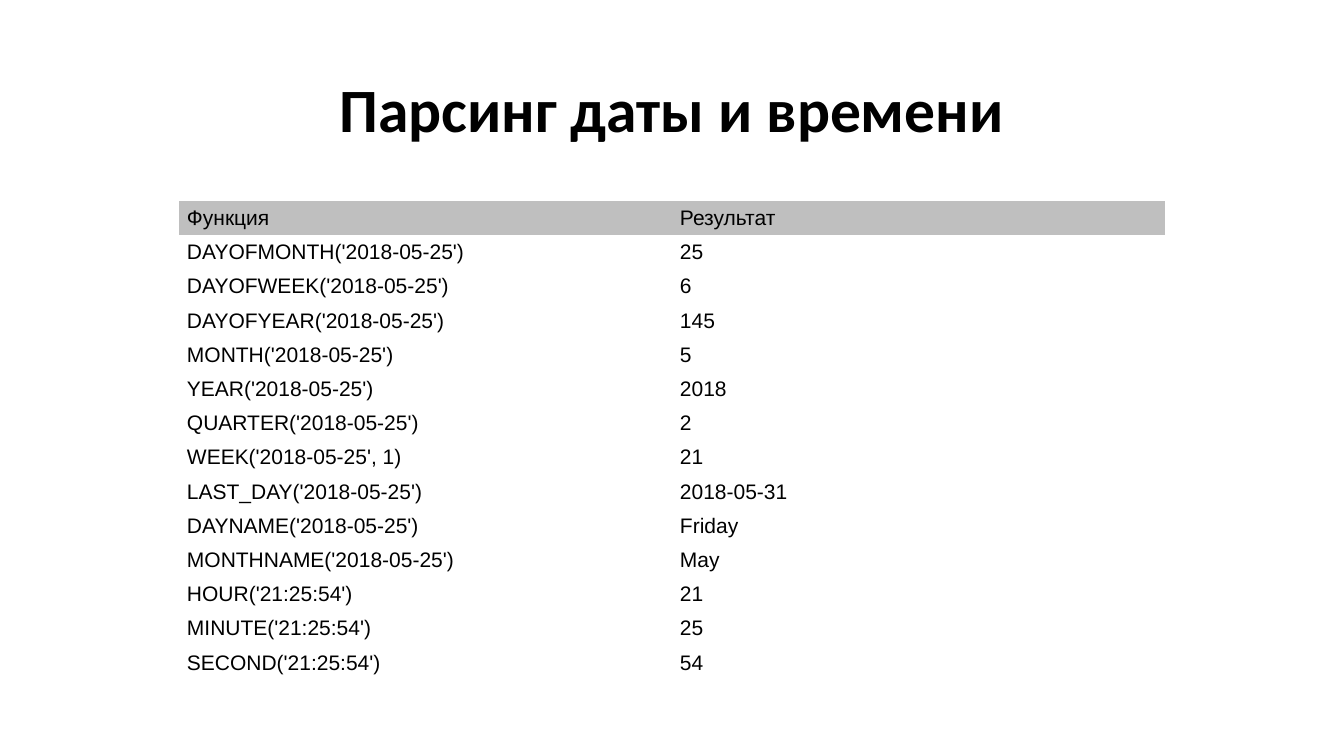
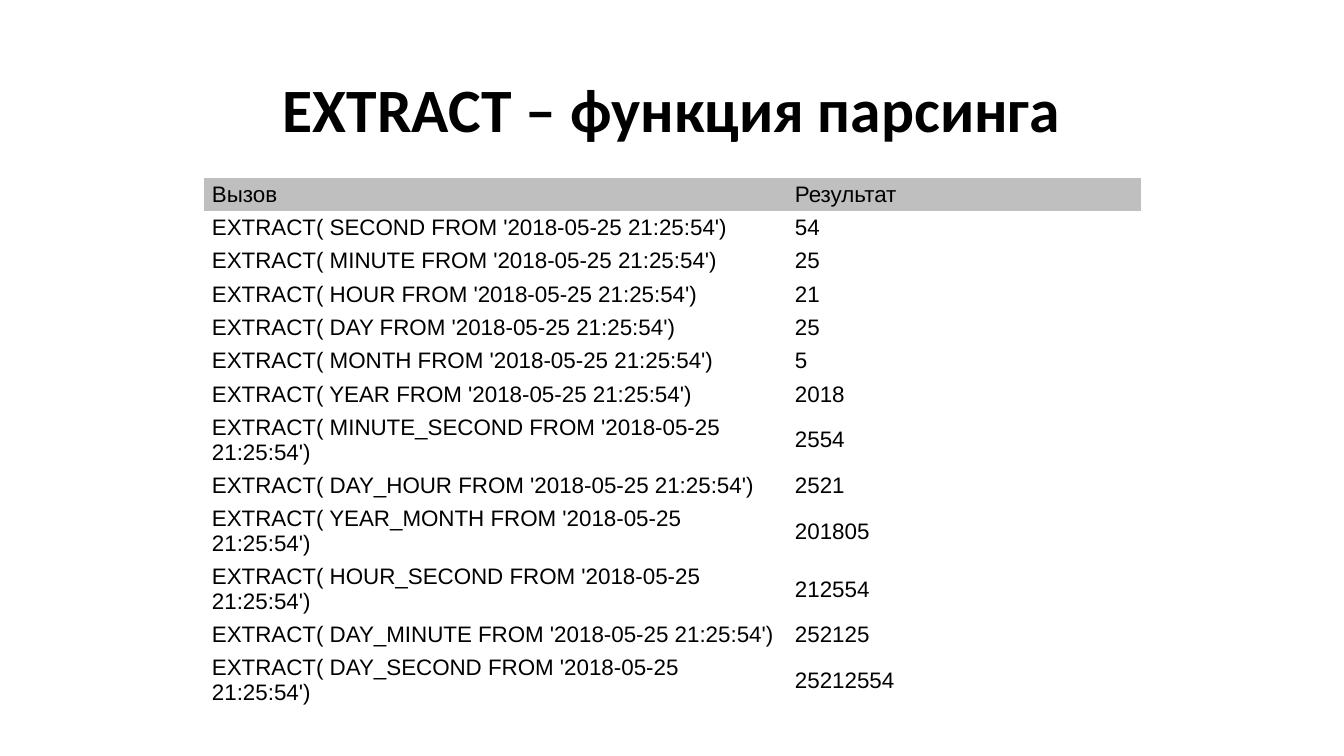
"""Build two slides that list date functions and their results."""
from dataclasses import dataclass
from typing import Any

from pptx import Presentation
from pptx.dml.color import RGBColor as RGB
from pptx.enum.text import MSO_ANCHOR as Anchor, MSO_AUTO_SIZE as Fit, PP_ALIGN as Align
from pptx.util import Emu, Pt

WIDE, HIGH = 1344, 756
SCALE = 12192000 / WIDE


@dataclass(frozen=True)
class Theme:
    """Colours, fonts and sizes that the slides share."""
    ink: RGB = RGB(0, 0, 0)
    page: RGB = RGB(255, 255, 255)
    head: RGB = RGB(0xBF, 0xBF, 0xBF)
    title_font: str = "Calibri"
    body_font: str = "Arial"
    title_size: int = 44
    small: int = 15
    large: int = 16
    no_grid: str = "{2D5ABB26-0587-4C30-8999-92F81FD0307C}"


THEME = Theme()


@dataclass(frozen=True)
class Grid:
    """A two-column table with its place, row heights and text size."""
    left: int
    top: int
    cols: tuple[int, int]
    height: int
    size: int
    rows: list[tuple[str, str]]
    tall: tuple[int, ...] = ()
    tall_px: int = 58


@dataclass(frozen=True)
class Page:
    """A slide title and the table below it."""
    title: str
    grid: Grid


def px(count: float) -> Emu:
    """Turn pixels into EMU."""
    return Emu(round(count * SCALE))


def write(frame: Any, text: str, *, size: int, font: str = THEME.body_font,
          bold: bool = False, align: Align = Align.LEFT, line: float = 1.0) -> None:
    """Put formatted text into a text frame."""
    para = frame.paragraphs[0]
    para.alignment, para.line_spacing = align, line
    run = para.add_run()
    run.text = text
    run.font.size, run.font.name, run.font.bold = Pt(size), font, bold
    run.font.color.rgb = THEME.ink


def add_title(slide: Any, text: str) -> None:
    """Place and format the title placeholder."""
    shape = slide.shapes.title
    shape.left, shape.top, shape.width, shape.height = map(px, (92, 40, 1160, 146))
    frame = shape.text_frame
    frame.word_wrap, frame.auto_size = True, Fit.NONE
    frame.vertical_anchor = Anchor.MIDDLE
    write(frame, text, size=THEME.title_size, font=THEME.title_font,
          bold=True, align=Align.CENTER, line=0.9)


def add_grid(slide: Any, grid: Grid) -> None:
    """Draw a table with a grey heading row."""
    table = slide.shapes.add_table(
        len(grid.rows), len(grid.cols), px(grid.left), px(grid.top),
        px(sum(grid.cols)), px(grid.height)).table
    table.first_row = table.horz_banding = False
    table._tbl.tblPr[0].text = THEME.no_grid
    for col, width in zip(table.columns, grid.cols):
        col.width = px(width)
    for index in grid.tall:
        table.rows[index].height = px(grid.tall_px)
    for row, texts in enumerate(grid.rows):
        for col, text in enumerate(texts):
            cell = table.cell(row, col)
            cell.margin_left = cell.margin_right = px(8)
            cell.margin_top = cell.margin_bottom = px(4)
            cell.vertical_anchor = Anchor.MIDDLE
            if row == 0:
                cell.fill.solid()
                cell.fill.fore_color.rgb = THEME.head
            else:
                cell.fill.background()
            write(cell.text_frame, text, size=grid.size)


def add_page(deck: Any, page: Page) -> None:
    """Add one slide with its title and table."""
    slide = deck.slides.add_slide(deck.slide_layouts[5])
    slide.background.fill.solid()
    slide.background.fill.fore_color.rgb = THEME.page
    add_title(slide, page.title)
    add_grid(slide, page.grid)


DAY, TIME = "2018-05-25", "21:25:54"
DAY_CALLS = [
    ("DAYOFMONTH", "25"), ("DAYOFWEEK", "6"), ("DAYOFYEAR", "145"),
    ("MONTH", "5"), ("YEAR", "2018"), ("QUARTER", "2"), ("WEEK", "21"),
    ("LAST_DAY", "2018-05-31"), ("DAYNAME", "Friday"), ("MONTHNAME", "May"),
]
TIME_CALLS = [("HOUR", "21"), ("MINUTE", "25"), ("SECOND", "54")]
EXTRAS = {"WEEK": ", 1"}
UNITS = [
    ("SECOND", "54"), ("MINUTE", "25"), ("HOUR", "21"), ("DAY", "25"),
    ("MONTH", "5"), ("YEAR", "2018"), ("MINUTE_SECOND", "2554"),
    ("DAY_HOUR", "2521"), ("YEAR_MONTH", "201805"), ("HOUR_SECOND", "212554"),
    ("DAY_MINUTE", "252125"), ("DAY_SECOND", "25212554"),
]

PAGES = [
    Page("Парсинг даты и времени", Grid(
        179, 201, (493, 493), 479, THEME.small,
        [("Функция", "Результат")]
        + [(f"{name}('{DAY}'{EXTRAS.get(name, '')})", out) for name, out in DAY_CALLS]
        + [(f"{name}('{TIME}')", out) for name, out in TIME_CALLS])),
    Page("EXTRACT – функция парсинга", Grid(
        204, 178, (583, 354), 433, THEME.large,
        [("Вызов", "Результат")]
        + [(f"EXTRACT( {unit} FROM '{DAY} {TIME}')", out) for unit, out in UNITS],
        tall=(7, 9, 10, 12))),
]


def main() -> None:
    """Build and save the deck."""
    deck = Presentation()
    deck.slide_width, deck.slide_height = px(WIDE), px(HIGH)
    for page in PAGES:
        add_page(deck, page)
    deck.save("out.pptx")


main()
